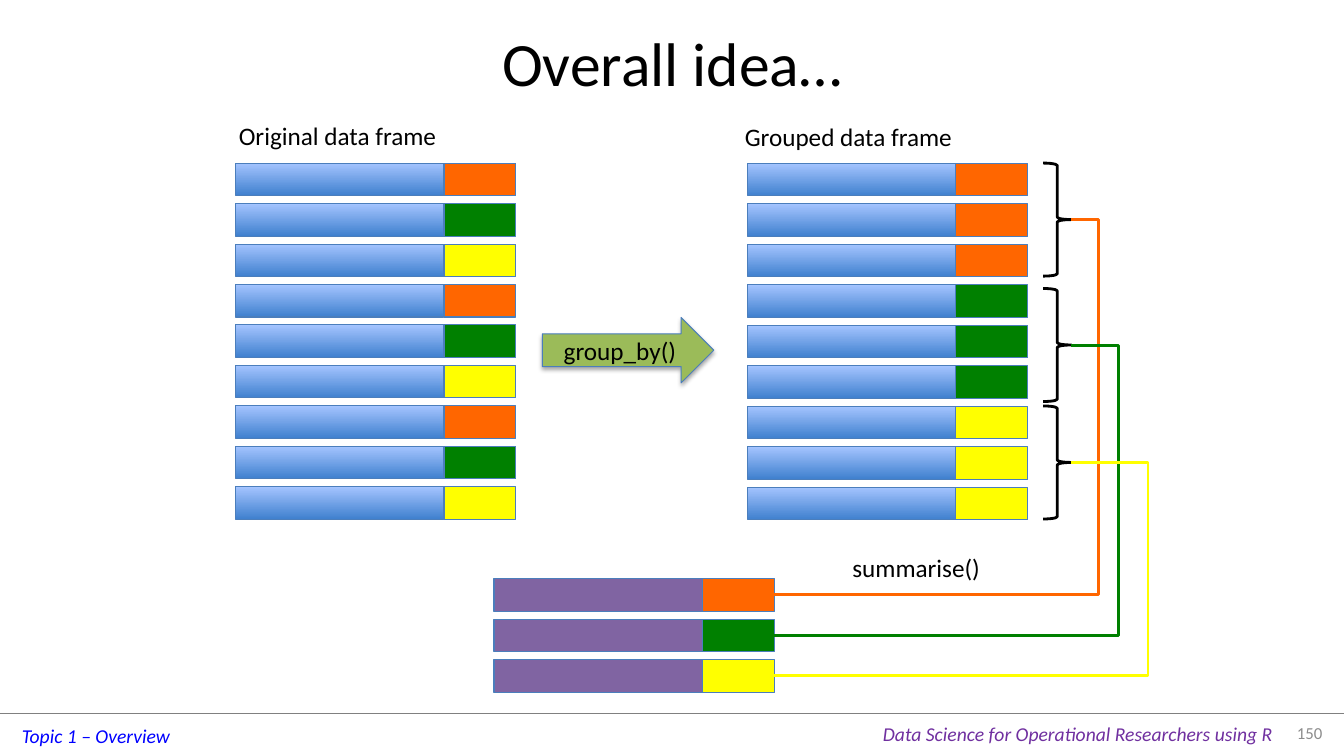
import pptx
import pptx.util
import pptx.dml.color
import pptx.enum.shapes
import pptx.enum.text
import pptx.oxml
import pptx.oxml.ns

Cm = pptx.util.Cm
Pt = pptx.util.Pt
RGB = pptx.dml.color.RGBColor.from_string
Kind = pptx.enum.shapes.MSO_SHAPE
Wire = pptx.enum.shapes.MSO_CONNECTOR
Align = pptx.enum.text.PP_ALIGN
Anchor = pptx.enum.text.MSO_ANCHOR
Fit = pptx.enum.text.MSO_AUTO_SIZE
ns = pptx.oxml.ns.nsdecls("a")

hues = {
    "black": "000000", "gray": "808080", "pale": "8C8C8C", "blue": "0000FF",
    "plum": "7030A0", "edge": "4B7EBC", "deep": "3F80CE", "light": "A4C4FF",
    "mauve": "8064A2", "lime": "9BBB59",
    "orange": "FF6600", "green": "008000", "yellow": "FFFF00",
}
groups = ["orange", "green", "yellow"]

deck = pptx.Presentation()
deck.slide_width, deck.slide_height = Cm(33.87), Cm(19.05)
slide = deck.slides.add_slide(deck.slide_layouts[6])
shapes = slide.shapes


def write(text, box=None, shape=None, size=18, hue="black", slant=False,
          align=Align.LEFT, anchor=Anchor.TOP, wrap=False):
    if shape is None:
        shape = shapes.add_textbox(*[Cm(n) for n in box])
    frame = shape.text_frame
    frame.word_wrap = wrap
    frame.auto_size = Fit.NONE if wrap else Fit.SHAPE_TO_FIT_TEXT
    frame.vertical_anchor = anchor
    para = frame.paragraphs[0]
    para.text = text
    para.alignment = align
    font = para.font
    font.name, font.size, font.italic = "Calibri", Pt(size), slant
    font.color.rgb = RGB(hues[hue])


def draw(kind, left, top, wide, high, fill=None, edge="edge", weight=0.75):
    shape = shapes.add_shape(kind, Cm(left), Cm(top), Cm(wide), Cm(high))
    shape.shadow.inherit = False
    if fill == "fade":
        shape.fill.gradient()
        shape.fill.gradient_angle = 90
        for stop, hue in zip(shape.fill.gradient_stops, ["deep", "light"]):
            stop.color.rgb = RGB(hues[hue])
    elif fill:
        shape.fill.solid()
        shape.fill.fore_color.rgb = RGB(hues[fill])
    else:
        shape.fill.background()
    shape.line.color.rgb = RGB(hues[edge])
    shape.line.width = Pt(weight)
    return shape


rule = shapes.add_connector(Wire.STRAIGHT, 0, Cm(17.97), deck.slide_width, Cm(17.97))
rule.line.color.rgb = RGB(hues["gray"])
rule.line.width = Pt(0.25)
rule._element.spPr.append(pptx.oxml.parse_xml(f"<a:effectLst {ns}/>"))

write("Topic 1 – Overview", (0.3, 18.11, 4.27, 0.86), size=14, hue="blue", slant=True)
write("Data Science for Operational Researchers using R",
      (22, 18.06, 10.44, 0.86), size=14, hue="plum", slant=True)
write("Overall idea…", (5.51, -0.03, 22.86, 3.18), size=44,
      align=Align.CENTER, anchor=Anchor.MIDDLE, wrap=True)
write("150", (32.18, 17.96, 1.4, 0.99), size=12, hue="pale",
      align=Align.RIGHT, anchor=Anchor.MIDDLE, wrap=True)

body, tip, high, pitch = 5.25, 1.81, 0.82, 1.02
frames = [
    (5.94, 4.11, "fade", groups * 3),
    (18.84, 4.12, "fade", [hue for hue in groups for _ in range(3)]),
    (12.45, 14.58, "mauve", groups),
]
for left, top, fill, tips in frames:
    for row, hue in enumerate(tips):
        y = top + row * pitch
        draw(Kind.RECTANGLE, left, y, body, high, fill)
        draw(Kind.RECTANGLE, left + body, y, tip, high, hue)

start, end = 27, 12.45 + body + tip
for row, (hue, top, bend) in enumerate(zip(groups, [4.11, 7.27, 10.23], [27.69, 28.19, 28.93])):
    draw(Kind.RIGHT_BRACE, 26.29, top, 0.71, 2.85, edge="black", weight=2)
    y = 14.58 + row * pitch + high / 2
    link = shapes.add_connector(Wire.ELBOW, Cm(start), Cm(top + 1.43), Cm(end), Cm(y))
    link.line.color.rgb = RGB(hues[hue])
    link.line.width = Pt(2)
    prop = link._element.spPr
    prop.append(pptx.oxml.parse_xml(f"<a:effectLst {ns}/>"))
    ratio = round((start - bend) / (start - end) * 100000)
    prop.prstGeom.get_or_add_avLst().append(
        pptx.oxml.parse_xml(f'<a:gd {ns} name="adj1" fmla="val {ratio}"/>'))

arrow = draw(Kind.RIGHT_ARROW, 13.67, 8, 4.32, 1.65, "lime")
shade = arrow._element.spPr.find(pptx.oxml.ns.qn("a:effectLst"))
shade.append(pptx.oxml.parse_xml(
    f'<a:outerShdw {ns} blurRad="40000" dist="23000" dir="5400000" rotWithShape="0">'
    f'<a:srgbClr val="{hues["black"]}"><a:alpha val="35000"/></a:srgbClr></a:outerShdw>'))
write("group_by()", shape=arrow, align=Align.CENTER, anchor=Anchor.MIDDLE, wrap=True)

write("summarise()", (21.23, 13.79, 3.76, 1.02))
write("Original data frame", (5.77, 2.9, 5.56, 1.02))
write("Grouped data frame", (18.52, 2.92, 5.82, 1.02))

deck.save("out.pptx")
